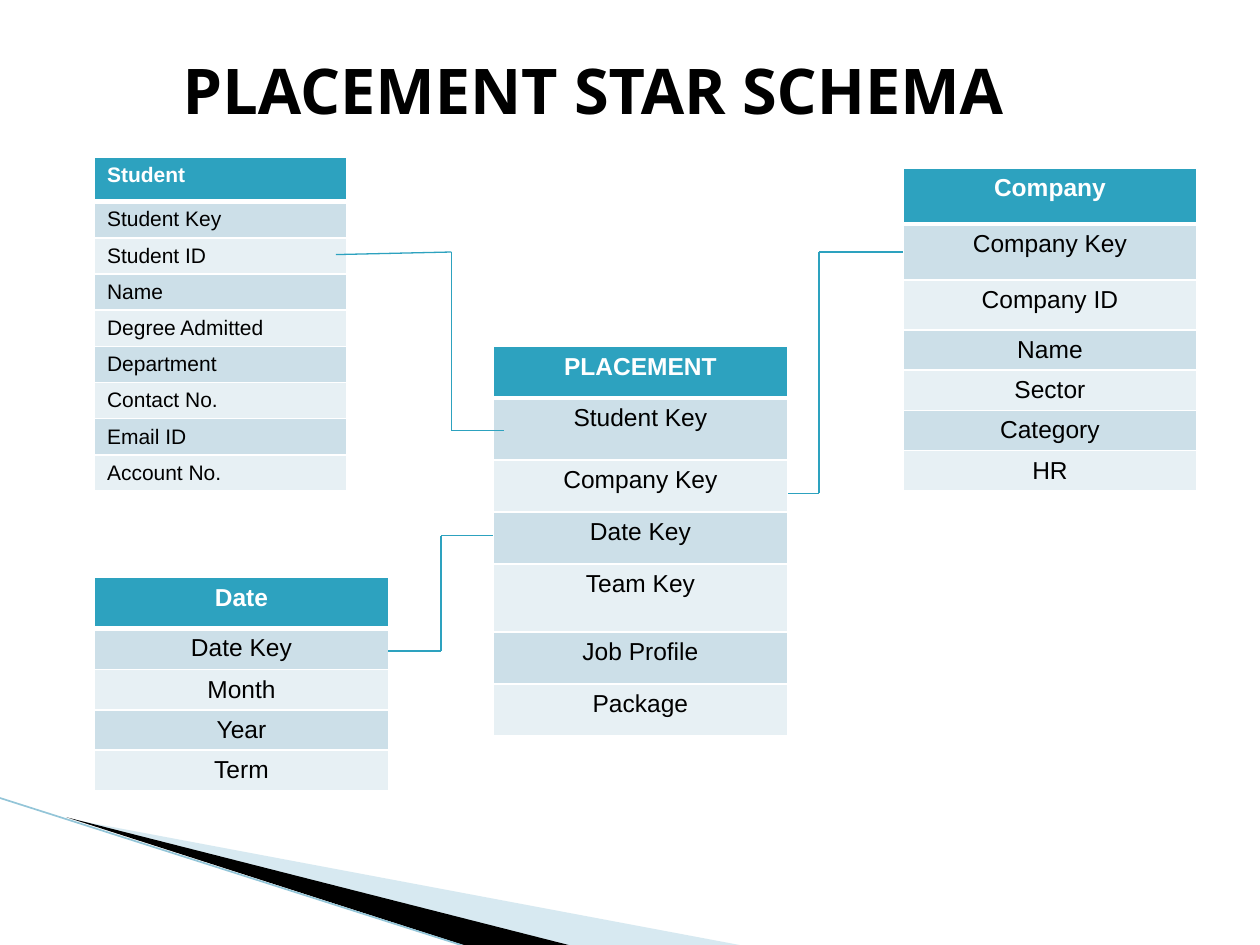
from lxml import etree
from pptx import Presentation
from pptx.dml.color import RGBColor
from pptx.enum import shapes, text
from pptx.oxml import ns
from pptx.util import Pt

COLOURS = {
    "accent": "2DA2BF", "band": "CCDFE8", "pale": "E7F0F4",
    "white": "FFFFFF", "black": "000000",
    "sweep": "9CCADC", "edge": "93C5D8",
}
TITLE = "PLACEMENT STAR SCHEMA"
CENTER, LEFT = text.PP_ALIGN.CENTER, text.PP_ALIGN.LEFT

# The first name is the table's heading; heights run from the top row down.
TABLES = [
    {"names": ["Company", "Company Key", "Company ID", "Name", "Sector", "Category", "HR"],
     "left": 516, "top": 96, "width": 168, "size": 14, "align": CENTER,
     "heights": [32, 32, 28.6] + [23] * 4},
    {"names": ["Date", "Date Key", "Month", "Year", "Term"],
     "left": 54, "top": 330, "width": 168, "size": 14, "align": CENTER,
     "heights": [29, 23.7] + [23] * 3},
    {"names": ["PLACEMENT", "Student Key", "Company Key", "Date Key", "Team Key",
               "Job Profile", "Package"],
     "left": 282, "top": 198, "width": 168, "size": 14, "align": CENTER,
     "heights": [29.5, 35.5, 29.7, 29.7, 38.9, 29.7, 29.7]},
    {"names": ["Student", "Student Key", "Student ID", "Name", "Degree Admitted",
               "Department", "Contact No.", "Email ID", "Account No."],
     "left": 54, "top": 90, "width": 144, "size": 12, "align": LEFT,
     "heights": [25, 21] + [20.6] * 7},
]
KEY_LINKS = [
    [(192, 145.5), (258, 144), (258, 246), (288, 246)],
    [(516, 144), (468, 144), (468, 282), (450, 282)],
    [(222, 372), (252, 372), (252, 306), (282, 306)],
]
SWEEPS = [
    ("sweep", 40, [(39.6, 468.4), (428.4, 540.7), (328.3, 540.7)]),
    ("black", 100, [(38.2, 467.3), (329, 540.7), (267.8, 541.4)]),
]


def rgb(name):
    return RGBColor.from_string(COLOURS[name])


def add_element(parent, tag, **attributes):
    return etree.SubElement(parent, ns.qn(tag), attributes)


def style_text(frame, words, align, **font_values):
    frame.text = words
    para = frame.paragraphs[0]
    para.alignment = align
    font = para.runs[0].font
    font.color.rgb = rgb(font_values.pop("colour"))
    for name, value in font_values.items():
        setattr(font, name, value)


def add_line(page, start, end, colour, width):
    line = page.shapes.add_connector(
        shapes.MSO_CONNECTOR.STRAIGHT, *[Pt(value) for value in start + end])
    line.line.color.rgb = rgb(colour)
    line.line.width = Pt(width)
    add_element(line._element.spPr, "a:effectLst")


def add_sweep(page, colour, opacity, points):
    builder = page.shapes.build_freeform(*points[0], scale=Pt(1))
    builder.add_line_segments(points[1:], close=True)
    sweep = builder.convert_to_shape()
    sweep.shadow.inherit = False
    sweep.line.fill.background()
    sweep.fill.solid()
    sweep.fill.fore_color.rgb = rgb(colour)
    if opacity < 100:
        paint = sweep._element.spPr.find(ns.qn("a:solidFill"))[0]
        add_element(paint, "a:alpha", val=str(opacity * 1000))


def add_borders(cell, row):
    """White rules all round, with a thick one under the heading row."""
    widths = {"L": 1, "R": 1, "T": 3 if row == 1 else 1, "B": 3 if row == 0 else 1}
    properties = cell._tc.get_or_add_tcPr()
    for side, width in widths.items():
        rule = add_element(properties, f"a:ln{side}", w=str(Pt(width)))
        paint = add_element(rule, "a:solidFill")
        add_element(paint, "a:srgbClr", val=COLOURS["white"])


def add_schema_table(page, names, left, top, width, size, align, heights):
    frame = page.shapes.add_table(
        len(names), 1, Pt(left), Pt(top), Pt(width), Pt(sum(heights)))
    table = frame.table
    for row, (name, height) in enumerate(zip(names, heights)):
        table.rows[row].height = Pt(height)
        cell = table.cell(row, 0)
        heading = row == 0
        style_text(cell.text_frame, name, align, name="Arial", size=Pt(size),
                   bold=heading, colour="white" if heading else "black")
        add_borders(cell, row)
        cell.fill.solid()
        fill = "accent" if heading else ("pale", "band")[row % 2]
        cell.fill.fore_color.rgb = rgb(fill)


def main():
    deck = Presentation()
    deck.slide_width, deck.slide_height = Pt(720), Pt(540)
    page = deck.slides.add_slide(deck.slide_layouts[5])

    for sweep in SWEEPS:
        add_sweep(page, *sweep)
    add_line(page, (-0.7, 455.8), (267.8, 541.4), "edge", 0.95)

    title = page.shapes.title
    place = {"left": 54, "top": 18, "width": 570, "height": 66}
    for name, value in place.items():
        setattr(title, name, Pt(value))
    title.text_frame.vertical_anchor = text.MSO_ANCHOR.MIDDLE
    style_text(title.text_frame, TITLE, CENTER, name="Open Sans", size=Pt(36),
               bold=True, colour="black")

    for table in TABLES:
        add_schema_table(page, **table)
    for link in KEY_LINKS:
        for start, end in zip(link, link[1:]):
            add_line(page, start, end, "accent", 0.75)

    deck.save("out.pptx")


if __name__ == "__main__":
    main()
